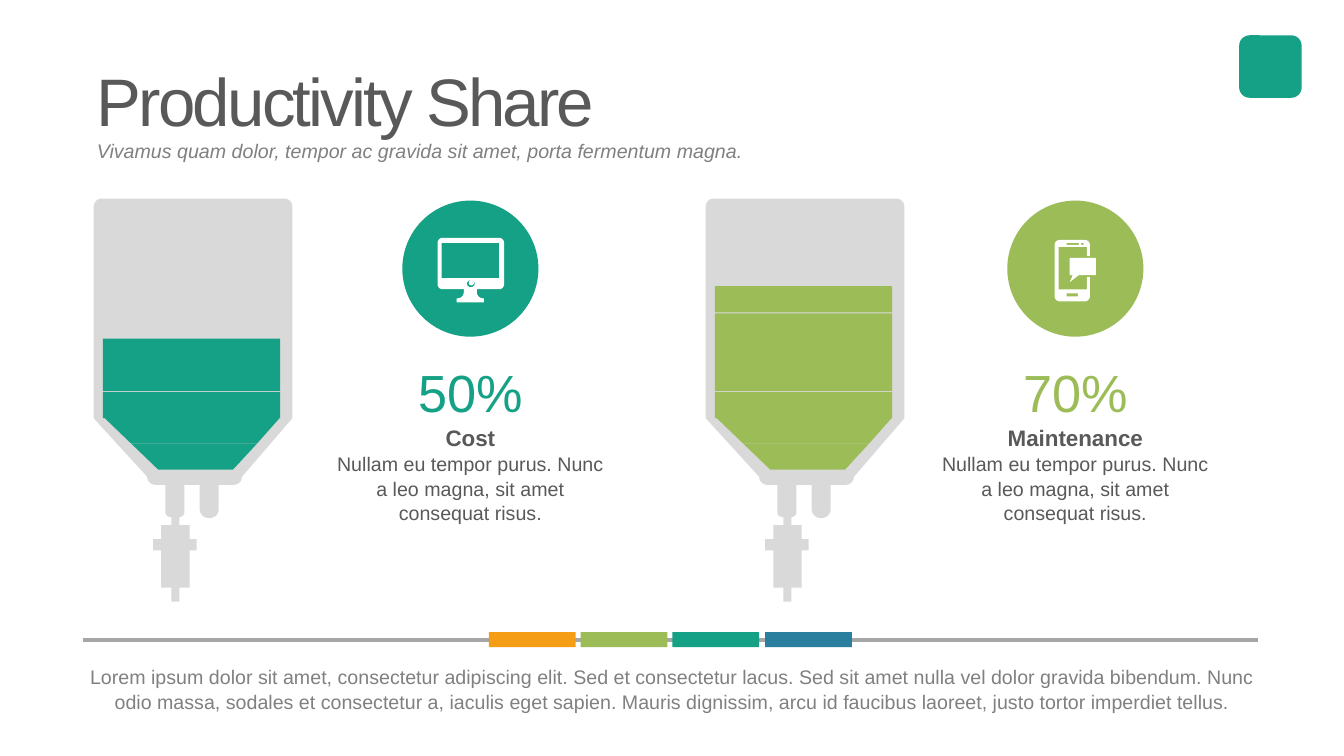
"""Build the Productivity Share slide with two filled drip bags."""
from dataclasses import dataclass
from typing import Any

import pptx
import pptx.dml.color
import pptx.enum.shapes
import pptx.enum.text
import pptx.oxml
import pptx.oxml.ns
import pptx.util

PX = 9144
Point = tuple[float, float]
Corner = tuple[int, int, int]
Contour = list[Corner]
Box = tuple[int, int, int, int]
Shapes = pptx.enum.shapes.MSO_SHAPE
Align = pptx.enum.text.PP_ALIGN
Anchor = pptx.enum.text.MSO_ANCHOR


@dataclass(frozen=True)
class Theme:
    font: str = "Arial"
    teal: str = "15A185"
    green: str = "9BBC57"
    orange: str = "F49D15"
    blue: str = "297F9D"
    white: str = "FFFFFF"
    bag: str = "D9D9D9"
    rule: str = "A6A6A6"
    dark: str = "595959"
    muted: str = "808080"
    title_size: float = 48
    percent_size: float = 37.3
    label_size: float = 16
    body_size: float = 14
    rule_width: float = 2.75
    line_spacing: float = 1.05


THEME = Theme()


@dataclass(frozen=True)
class Line:
    text: str
    size: float
    color: str
    bold: bool = False
    italic: bool = False
    align: Any = Align.CENTER


@dataclass(frozen=True)
class Icon:
    contours: list[Contour]
    detail: list[Contour]


@dataclass(frozen=True)
class Share:
    percent: str
    label: str
    color: str
    bag_left: int
    circle_left: int
    text_left: int
    bands: int
    icon: Icon


def rectangle(left: int, top: int, right: int, bottom: int, radius: int = 0) -> Contour:
    return [(left, top, radius), (right, top, radius), (right, bottom, radius), (left, bottom, radius)]


def sharp(*points: tuple[int, int]) -> Contour:
    return [(x, y, 0) for x, y in points]


BAG = [
    (0, 0, 8), (197, 0, 8), (197, 218, 0), (147, 276, 0), (147, 284, 8), (124, 284, 0),
    (124, 317, 9), (105, 317, 9), (105, 284, 0), (90, 284, 0), (90, 316, 5),
    *sharp((85, 316), (85, 324), (95, 324), (95, 338), (102, 338), (102, 349), (95, 349),
           (95, 386), (85, 386), (85, 400), (77, 400), (77, 386), (67, 386), (67, 349),
           (59, 349), (59, 338), (67, 338), (67, 324), (77, 324), (77, 316)),
    (71, 316, 5), (71, 284, 0), (53, 284, 8), (53, 276, 0), (0, 218, 0),
]
BAG_TOP = 197
BAND_TOPS = (389, 362, 336, 311, 284)
FUNNEL = (
    sharp((162, 243), (138, 269), (64, 269), (37, 243)),
    sharp((185, 217), (162, 243), (37, 243), (10, 217)),
)
MONITOR = Icon(
    [
        [(434, 236, 5), (500, 236, 5), (500, 287, 5), (473, 287, 0), (473, 296, 6), (480, 296, 0),
         (480, 300, 0), (453, 300, 0), (453, 296, 0), (460, 296, 6), (460, 287, 0), (434, 287, 5)],
        rectangle(438, 241, 495, 276),
        rectangle(463, 278, 471, 285, 4),
    ],
    [rectangle(465, 278, 470, 283, 2)],
)
PHONE = Icon(
    [
        [(1081, 275, 0), (1081, 299, 5), (1046, 299, 5), (1046, 238, 5), (1081, 238, 5),
         *sharp((1081, 254), (1078, 254), (1078, 245), (1050, 245), (1050, 287), (1078, 287), (1078, 275))],
        rectangle(1072, 241, 1075, 243, 1),
        rectangle(1058, 241, 1070, 243),
        rectangle(1058, 291, 1069, 294),
    ],
    [sharp((1061, 273), (1064, 273), (1061, 280), (1070, 273), (1087, 273), (1087, 256), (1061, 256))],
)
SHARES = (
    Share("50%", "Cost", THEME.teal, 93, 399, 322, 3, MONITOR),
    Share("70%", "Maintenance", THEME.green, 700, 999, 922, 5, PHONE),
)


def apply(target: Any, values: dict[str, Any]) -> None:
    for name, value in values.items():
        setattr(target, name, value)


def rgb(color: str) -> Any:
    return pptx.dml.color.RGBColor.from_string(color)


def paint(shape: Any, color: str) -> None:
    shape.shadow.inherit = False
    shape.fill.solid()
    shape.fill.fore_color.rgb = rgb(color)
    shape.line.fill.background()


def add_block(shapes: Any, kind: Any, box: Box, color: str) -> None:
    paint(shapes.add_shape(kind, *(value * PX for value in box)), color)


def toward(start: Point, end: Point, share: float) -> Point:
    return start[0] + (end[0] - start[0]) * share, start[1] + (end[1] - start[1]) * share


def trace(contour: Contour) -> list[Point]:
    points: list[Point] = []
    for index, (x, y, radius) in enumerate(contour):
        corner = (x, y)
        if not radius:
            points.append(corner)
            continue
        ends = []
        for neighbour in (contour[index - 1], contour[(index + 1) % len(contour)]):
            length = ((neighbour[0] - x) ** 2 + (neighbour[1] - y) ** 2) ** 0.5
            ends.append(toward(corner, neighbour[:2], min(1, radius / length)))
        handles = [toward(end, corner, 0.55) for end in ends]
        for step in range(7):
            share = step / 6
            first = toward(ends[0], handles[0], share)
            middle = toward(handles[0], handles[1], share)
            last = toward(handles[1], ends[1], share)
            points.append(toward(toward(first, middle, share), toward(middle, last, share), share))
    return points


def add_outline(shapes: Any, contours: list[Contour], color: str, left: int = 0, top: int = 0) -> None:
    paths = [[((x + left) * PX, (y + top) * PX) for x, y in trace(contour)] for contour in contours]
    builder = shapes.build_freeform(*paths[0][0], scale=1.0)
    builder.add_line_segments(paths[0][1:], close=True)
    for path in paths[1:]:
        builder.move_to(*path[0])
        builder.add_line_segments(path[1:], close=True)
    paint(builder.convert_to_shape(), color)


def write(shape: Any, lines: list[Line], frame_format: dict[str, Any]) -> None:
    frame = shape.text_frame
    apply(frame, {"word_wrap": True, "auto_size": pptx.enum.text.MSO_AUTO_SIZE.SHAPE_TO_FIT_TEXT} | frame_format)
    for index, line in enumerate(lines):
        paragraph = frame.add_paragraph() if index else frame.paragraphs[0]
        apply(paragraph, {"alignment": line.align, "line_spacing": THEME.line_spacing})
        run = paragraph.add_run()
        run.text = line.text
        apply(run.font, {"name": THEME.font, "size": pptx.util.Pt(line.size), "bold": line.bold, "italic": line.italic})
        run.font.color.rgb = rgb(line.color)


def add_text(shapes: Any, box: Box, lines: list[Line], frame_format: dict[str, Any]) -> None:
    write(shapes.add_textbox(*(value * PX for value in box)), lines, frame_format)


def add_share(shapes: Any, share: Share) -> None:
    bag = shapes.add_group_shape().shapes
    add_outline(bag, [BAG], THEME.bag, share.bag_left, BAG_TOP)
    for top in BAND_TOPS[:share.bands]:
        add_block(bag, Shapes.RECTANGLE, (share.bag_left + 9, top, 176, 26), share.color)
    for part in FUNNEL:
        add_outline(bag, [part], share.color, share.bag_left, BAG_TOP)
    badge = shapes.add_group_shape().shapes
    add_block(badge, Shapes.OVAL, (share.circle_left, 199, 135, 135), share.color)
    for contours in (share.icon.contours, share.icon.detail):
        add_outline(badge, contours, THEME.white)
    add_text(shapes, (share.text_left, 349, 289, 171), [
        Line(share.percent, THEME.percent_size, share.color),
        Line(share.label, THEME.label_size, THEME.dark, bold=True),
        Line("Nullam eu tempor purus. Nunc a leo magna, sit amet consequat risus.", THEME.body_size, THEME.dark),
    ], {})


def add_divider(shapes: Any) -> None:
    group = shapes.add_group_shape().shapes
    rule = group.add_connector(pptx.enum.shapes.MSO_CONNECTOR.STRAIGHT, 82 * PX, 635 * PX, 1248 * PX, 635 * PX)
    rule.line.color.rgb = rgb(THEME.rule)
    rule.line.width = pptx.util.Pt(THEME.rule_width)
    rule._element.spPr.append(pptx.oxml.parse_xml(f"<a:effectLst {pptx.oxml.ns.nsdecls('a')}/>"))
    for index, color in enumerate((THEME.orange, THEME.green, THEME.teal, THEME.blue)):
        add_block(group, Shapes.RECTANGLE, (485 + 274 * index // 3, 627, 86, 15), color)


def main() -> None:
    presentation = pptx.Presentation()
    apply(presentation, {"slide_width": 1333 * PX, "slide_height": 750 * PX})
    slide = presentation.slides.add_slide(presentation.slide_layouts[5])
    shapes = slide.shapes
    insets = {"margin_left": 7 * PX, "margin_right": 7 * PX, "margin_top": 3 * PX, "margin_bottom": 3 * PX}
    title = shapes.title
    apply(title, {"left": 89 * PX, "top": 54 * PX, "width": 510 * PX, "height": 88 * PX})
    write(title, [Line("Productivity Share", THEME.title_size, THEME.dark, align=Align.LEFT)],
          insets | {"word_wrap": False, "vertical_anchor": Anchor.BOTTOM})
    title.text_frame.paragraphs[0].runs[0]._r.get_or_add_rPr().set("spc", "-200")
    add_block(shapes, Shapes.ROUNDED_RECTANGLE, (1229, 35, 62, 62), THEME.teal)
    for share in SHARES:
        add_share(shapes, share)
    centred = insets | {"vertical_anchor": Anchor.MIDDLE}
    add_text(shapes, (89, 134, 700, 30), [
        Line("Vivamus quam dolor, tempor ac gravida sit amet, porta fermentum magna.",
             THEME.body_size, THEME.muted, italic=True, align=Align.LEFT)], centred)
    add_text(shapes, (67, 656, 1200, 54), [
        Line("Lorem ipsum dolor sit amet, consectetur adipiscing elit. Sed et consectetur lacus. "
             "Sed sit amet nulla vel dolor gravida bibendum. Nunc odio massa, sodales et consectetur a, "
             "iaculis eget sapien. Mauris dignissim, arcu id faucibus laoreet, justo tortor imperdiet tellus.",
             THEME.body_size, THEME.muted)], centred)
    add_divider(shapes)
    presentation.save("out.pptx")


if __name__ == "__main__":
    main()
